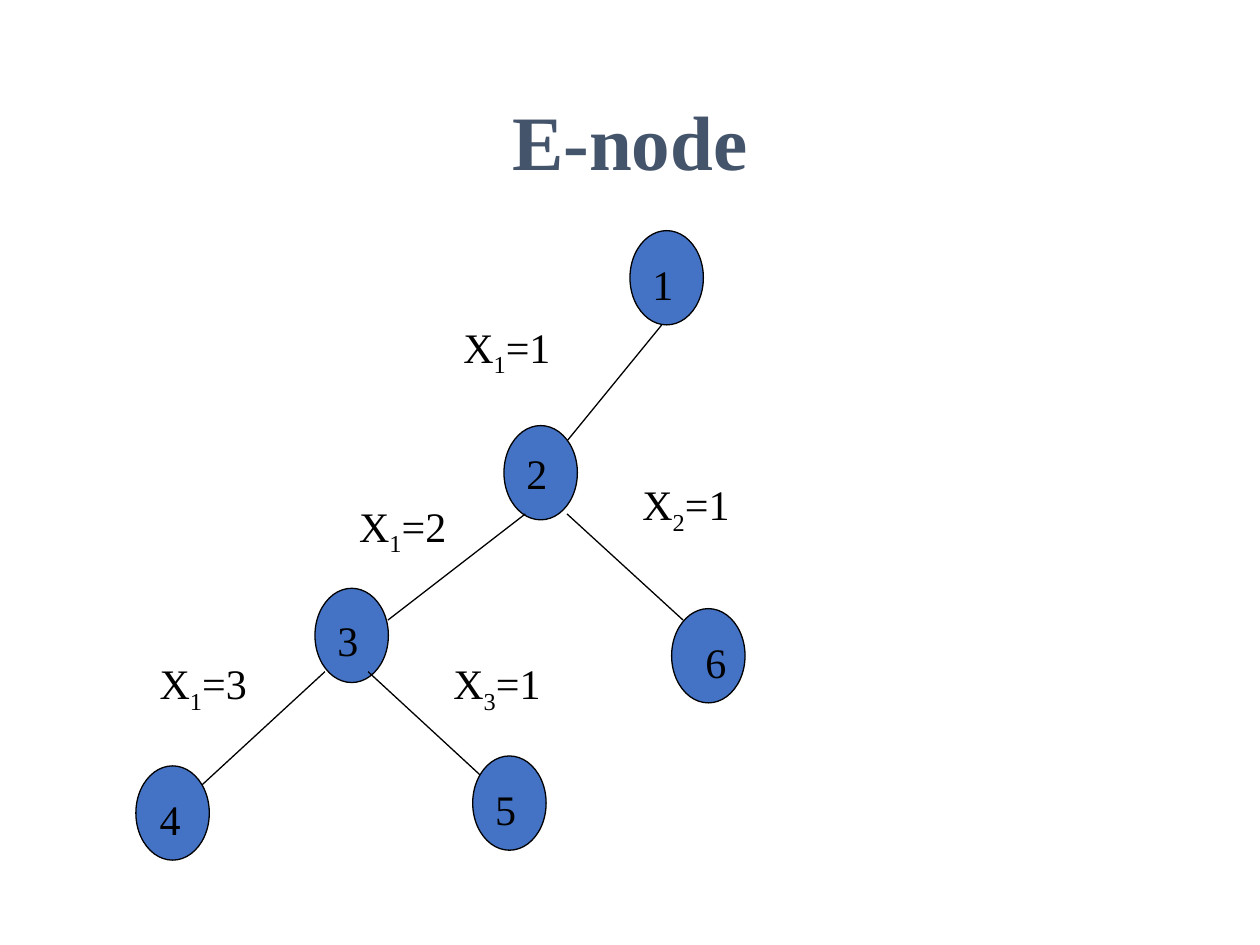
from dataclasses import dataclass
from typing import Optional

import lxml.etree
import pptx
import pptx.dml.color
import pptx.enum.shapes
import pptx.enum.text
import pptx.oxml.ns
import pptx.util

Cm = pptx.util.Cm
Pt = pptx.util.Pt
RGBColor = pptx.dml.color.RGBColor
Align = pptx.enum.text.PP_ALIGN
Anchor = pptx.enum.text.MSO_ANCHOR

BLUE = RGBColor(0x44, 0x72, 0xC4)
SLATE = RGBColor(0x44, 0x54, 0x6A)
BLACK = RGBColor(0, 0, 0)
FONT = "Times New Roman"
OVAL_W, OVAL_H = 1.48, 1.9
TEXT_H = 1.27
LABEL_W = 2.74
LINE_W = 0.75

Point = tuple[float, float]


@dataclass(frozen=True)
class Branch:
    start: Point
    end: Point
    label: Point
    index: str
    value: str


@dataclass(frozen=True)
class Node:
    name: str
    oval: Point
    text: Point
    width: float
    branch: Optional[Branch] = None
    grouped: bool = True


NODES = [
    Node("1", (12.7, 4.65), (12.9, 5.08), 1.48, grouped=False),
    Node("2", (10.16, 8.58), (10.36, 8.89), 1.27,
         Branch((13.34, 6.55), (11.43, 8.89), (9.09, 6.35), "1", "1"), False),
    Node("3", (6.35, 11.86), (6.55, 12.27), 0.84,
         Branch((10.59, 10.36), (7.82, 12.5), (6.99, 9.96), "1", "2")),
    Node("4", (2.74, 15.44), (2.97, 15.88), 0.84,
         Branch((6.55, 13.54), (4.01, 15.88), (2.97, 13.13), "1", "3")),
    Node("5", (9.53, 15.24), (9.73, 15.67), 1.06,
         Branch((7.42, 13.54), (9.73, 15.67), (8.89, 13.13), "3", "1")),
    Node("6", (13.54, 12.27), (13.97, 12.7), 0.84,
         Branch((11.43, 10.36), (13.77, 12.5), (12.7, 9.53), "2", "1")),
]


def write(part, text: str, *, size: float = 24, color: RGBColor = BLACK,
          bold: bool = False, base: int = 0) -> None:
    run = part.add_run()
    run.text = text
    font = run.font
    font.name = FONT
    font.size = Pt(size)
    font.bold = bold
    font.color.rgb = color
    if base:
        font._element.set("baseline", str(base * 1000))


def add_box(shapes, at: Point, width: float):
    box = shapes.add_textbox(Cm(at[0]), Cm(at[1]), Cm(width), Cm(TEXT_H))
    box.text_frame.word_wrap = True
    return box.text_frame.paragraphs[0]


def add_edge(shapes, start: Point, end: Point) -> None:
    edge = shapes.add_connector(
        pptx.enum.shapes.MSO_CONNECTOR.STRAIGHT,
        *(Cm(v) for v in (*start, *end)))
    edge.line.color.rgb = BLACK
    edge.line.width = Pt(LINE_W)
    lxml.etree.SubElement(edge._element.spPr, pptx.oxml.ns.qn("a:effectLst"))


def add_oval(shapes, at: Point) -> None:
    oval = shapes.add_shape(
        pptx.enum.shapes.MSO_SHAPE.OVAL,
        *(Cm(v) for v in (*at, OVAL_W, OVAL_H)))
    oval.shadow.inherit = False
    oval.fill.solid()
    oval.fill.fore_color.rgb = BLUE
    oval.line.color.rgb = BLACK
    oval.line.width = Pt(LINE_W)


def add_node(shapes, node: Node) -> None:
    if node.grouped:
        shapes = shapes.add_group_shape().shapes
    branch = node.branch
    if branch:
        add_edge(shapes, branch.start, branch.end)
    add_oval(shapes, node.oval)
    write(add_box(shapes, node.text, node.width), node.name)
    if branch:
        label = add_box(shapes, branch.label, LABEL_W)
        write(label, "X")
        write(label, branch.index, base=-25)
        write(label, "=" + branch.value)


def set_title(title, text: str) -> None:
    title.left, title.top = Cm(1.9), Cm(0.85)
    title.width, title.height = Cm(21.6), Cm(3.18)
    frame = title.text_frame
    frame.auto_size = pptx.enum.text.MSO_AUTO_SIZE.NONE
    frame.vertical_anchor = Anchor.MIDDLE
    frame.margin_top = Cm(0.86)
    part = frame.paragraphs[0]
    part.alignment = Align.CENTER
    write(part, text, size=44, color=SLATE, bold=True)


def main() -> None:
    deck = pptx.Presentation()
    deck.slide_width, deck.slide_height = Cm(25.4), Cm(19.05)
    slide = deck.slides.add_slide(deck.slide_layouts[5])
    set_title(slide.shapes.title, "E-node")
    for node in NODES:
        add_node(slide.shapes, node)
    deck.save("out.pptx")


if __name__ == "__main__":
    main()
